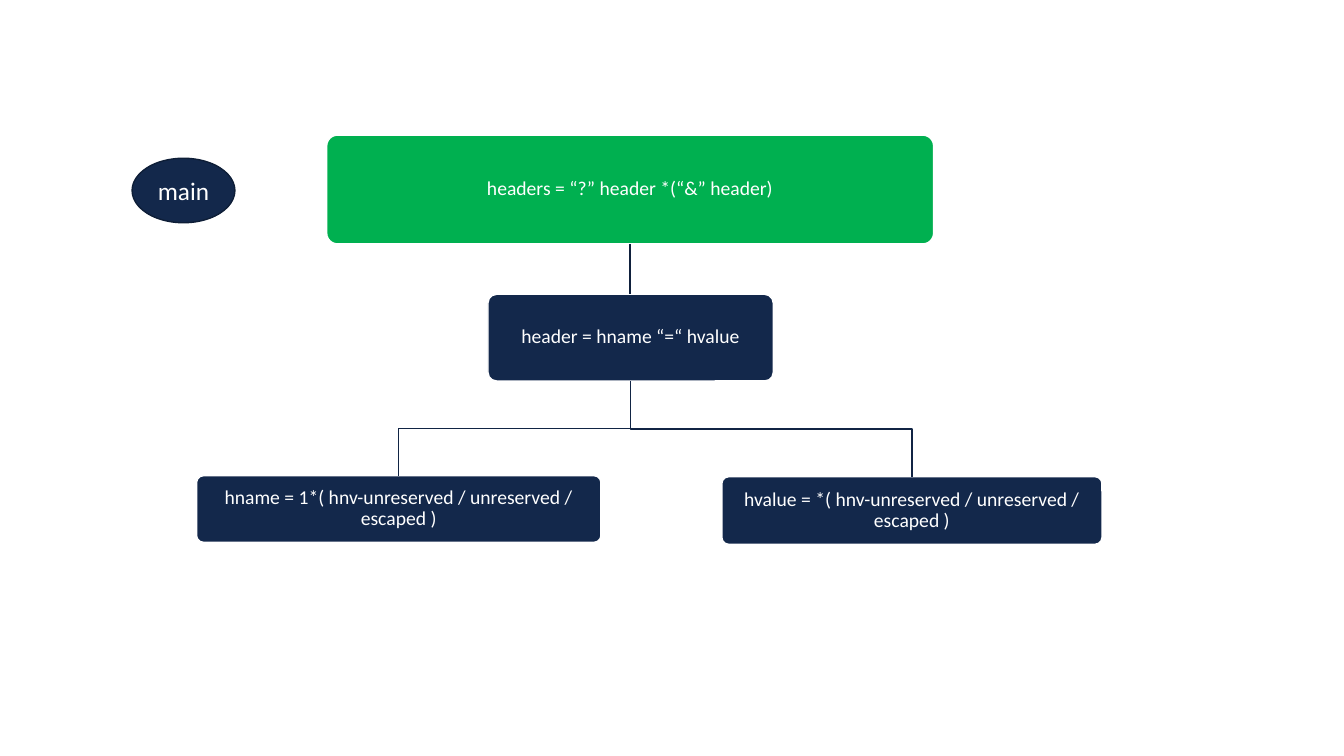
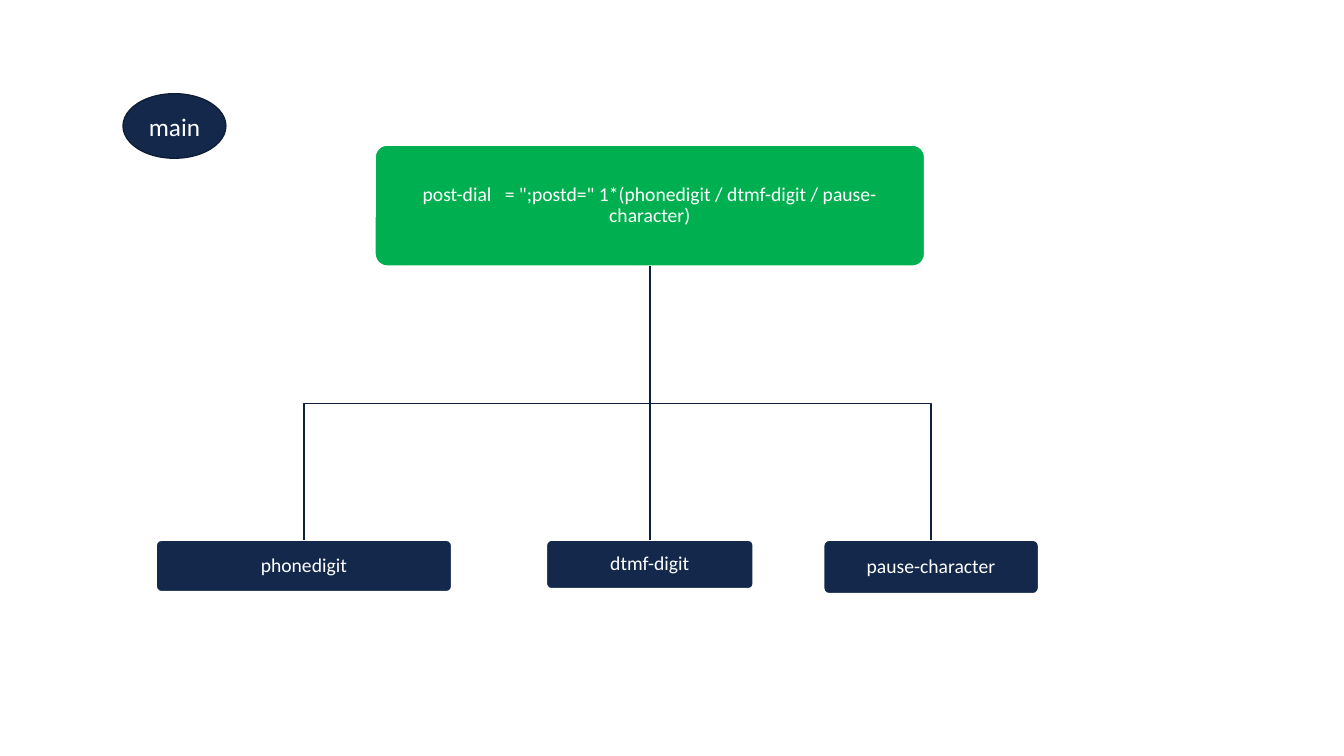
from lxml.etree import SubElement
from pptx import Presentation
from pptx.dml.color import RGBColor
from pptx.enum.shapes import MSO_CONNECTOR, MSO_SHAPE
from pptx.enum.text import MSO_ANCHOR, PP_ALIGN
from pptx.oxml.ns import qn
from pptx.util import Inches, Pt

NAVY = RGBColor(0x13, 0x28, 0x4B)
GREEN = RGBColor(0x00, 0xB0, 0x50)
WHITE = RGBColor(0xFF, 0xFF, 0xFF)
OVAL_EDGE = RGBColor(0x0E, 0x1E, 0x37)
FIRST_LINK = RGBColor(0x0F, 0x20, 0x3C)
SECOND_LINK = RGBColor(0x11, 0x24, 0x44)


def write_text(frame, text, size=14, color=WHITE, font="Calibri", line_spacing=1.0):
    frame.word_wrap = True
    frame.vertical_anchor = MSO_ANCHOR.MIDDLE
    para = frame.paragraphs[0]
    para.alignment = PP_ALIGN.CENTER
    para.line_spacing = line_spacing
    span = para.add_run()
    span.text = text
    span.font.name = font
    span.font.size = Pt(size)
    span.font.color.rgb = color


class GrammarDeck:
    def __init__(self):
        self.deck = Presentation()
        self.deck.slide_width = Inches(13.33)
        self.deck.slide_height = Inches(7.5)
        self.page = None

    def add_page(self):
        self.page = self.deck.slides.add_slide(self.deck.slide_layouts[6])

    def add_figure(self, preset, place, fill, edge):
        figure = self.page.shapes.add_shape(preset, *map(Inches, place))
        figure.shadow.inherit = False
        figure.fill.solid()
        figure.fill.fore_color.rgb = fill
        figure.line.color.rgb = edge
        figure.line.width = Pt(1)
        return figure

    def add_rule(self, text, *place, fill=NAVY):
        box = self.add_figure(MSO_SHAPE.ROUNDED_RECTANGLE, place, fill, WHITE)
        box.adjustments[0] = 0.1
        frame = box.text_frame
        frame.margin_left = frame.margin_right = Inches(0.06)
        frame.margin_top = frame.margin_bottom = Inches(0.06)
        write_text(frame, text, line_spacing=0.9)
        return box

    def add_main_label(self, left, top):
        oval = self.add_figure(MSO_SHAPE.OVAL, (left, top, 1.02, 0.64), NAVY, OVAL_EDGE)
        write_text(oval.text_frame, "main", size=18)

    def add_link(self, parent, child, color):
        start_x = parent.left + parent.width // 2
        start_y = parent.top + parent.height
        end_x = child.left + child.width // 2
        end_y = child.top
        if abs(end_x - start_x) < Inches(0.02):
            link = self.page.shapes.add_connector(
                MSO_CONNECTOR.STRAIGHT, start_x, start_y, start_x, end_y)
        else:
            middle_y = (start_y + end_y) // 2
            builder = self.page.shapes.build_freeform(start_x, start_y)
            builder.add_line_segments(
                [(start_x, middle_y), (end_x, middle_y), (end_x, end_y)], close=False)
            link = builder.convert_to_shape()
            link.fill.background()
        link.line.color.rgb = color
        link.line.width = Pt(1)
        SubElement(link.element.spPr, qn("a:effectLst"))

    def add_links(self, parent, children, color):
        for child in children:
            self.add_link(parent, child, color)

    def save(self):
        self.deck.save("out.pptx")


def build_headers_page(deck):
    deck.add_page()
    headers = deck.add_rule("headers = “?” header *(“&” header)",
                            3.24, 1.34, 6.02, 1.08, fill=GREEN)
    header = deck.add_rule("header = hname “=“ hvalue", 4.84, 2.92, 2.83, 0.86)
    parts = [
        deck.add_rule("hname = 1*( hnv-unreserved / unreserved / escaped )",
                      1.95, 4.72, 4.01, 0.66),
        deck.add_rule("hvalue = *( hnv-unreserved / unreserved / escaped )",
                      7.16, 4.73, 3.77, 0.67),
    ]
    deck.add_link(headers, header, FIRST_LINK)
    deck.add_links(header, parts, SECOND_LINK)
    deck.add_main_label(1.31, 1.57)


def build_post_dial_page(deck):
    deck.add_page()
    post_dial = deck.add_rule(
        'post-dial   = ";postd=" 1*(phonedigit / dtmf-digit / pause-character)',
        3.72, 1.44, 5.45, 1.2, fill=GREEN)
    parts = [
        deck.add_rule(text, left, 5.36, width, height)
        for text, left, width, height in (
            ("phonedigit", 1.55, 2.93, 0.51),
            ("dtmf-digit", 5.42, 2.05, 0.48),
            ("pause-character", 8.17, 2.13, 0.53),
        )
    ]
    deck.add_links(post_dial, parts, FIRST_LINK)
    deck.add_main_label(1.22, 0.93)


def main():
    deck = GrammarDeck()
    build_headers_page(deck)
    build_post_dial_page(deck)
    deck.save()


if __name__ == "__main__":
    main()
